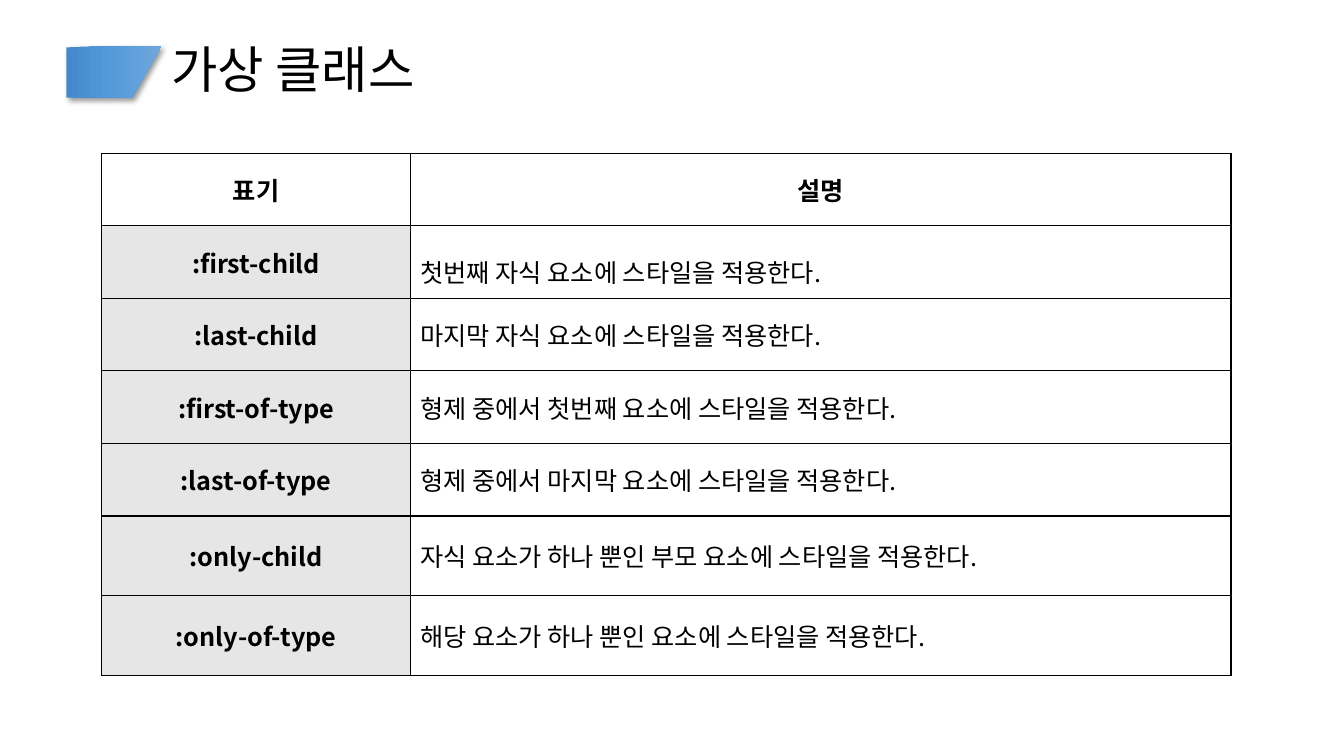
from lxml import etree
from pptx import Presentation
from pptx import util as u
from pptx.dml.color import RGBColor
from pptx.enum import text
from pptx.oxml import ns, parse_xml

FONT = "Noto Sans CJK KR"
COLORS = {
    "ink": "000000", "paper": "FFFFFF", "label": "E7E6E6",
    "deep": "448ACA", "mid": "559BDB", "light": "71A6DB",
}
HEADERS = ("표기", "설명")
SELECTORS = [
    (":first-child", "첫번째 자식 요소에 스타일을 적용한다."),
    (":last-child", "마지막 자식 요소에 스타일을 적용한다."),
    (":first-of-type", "형제 중에서 첫번째 요소에 스타일을 적용한다."),
    (":last-of-type", "형제 중에서 마지막 요소에 스타일을 적용한다."),
    (":only-child", "자식 요소가 하나 뿐인 부모 요소에 스타일을 적용한다."),
    (":only-of-type", "해당 요소가 하나 뿐인 요소에 스타일을 적용한다."),
]
COLUMN_WIDTHS = (3.06, 8.14)
ROW_HEIGHTS = [0.72] * 5 + [0.79] * 2


def color(name):
    return RGBColor.from_string(COLORS[name])


def add_span(para, words, size, bold=False):
    span = para.add_run()
    span.text = words
    span.font.size = u.Pt(size)
    span.font.bold = bold
    span.font.name = FONT
    span.font.color.rgb = color("ink")
    east_asian = etree.SubElement(span.font._element, ns.qn("a:ea"))
    east_asian.set("typeface", FONT)


def add_marker(page, left, top, width, height):
    """Slanted tab with a gradient and a soft shadow."""
    right, bottom = left + width, top + height
    outline = [(right, top), (left + 0.37, top), (left, top + 0.01),
               (left, bottom), (right - 0.29, bottom)]
    points = [(u.Inches(x), u.Inches(y)) for x, y in outline]
    builder = page.shapes.build_freeform(*points[0])
    builder.add_line_segments(points[1:], close=True)
    marker = builder.convert_to_shape()
    marker.line.fill.background()

    # Three-stop gradient, dark to light from left to right
    marker.fill.gradient()
    marker.fill.gradient_angle = 0
    properties = marker._element.spPr
    stops = properties.find(".//" + ns.qn("a:gsLst"))
    for stop in list(stops):
        stops.remove(stop)
    for position, name in ((0, "deep"), (50, "mid"), (100, "light")):
        stop = etree.SubElement(stops, ns.qn("a:gs"), pos=str(position * 1000))
        etree.SubElement(stop, ns.qn("a:srgbClr"), val=COLORS[name])

    # Shadow to the lower right
    marker.shadow.inherit = False
    effects = properties.find(ns.qn("a:effectLst"))
    effects.append(parse_xml(
        f'<a:outerShdw {ns.nsdecls("a")} blurRad="{u.Pt(4)}" dist="{u.Pt(3)}" '
        f'dir="2700000" algn="tl" rotWithShape="0"><a:srgbClr val="{COLORS["ink"]}">'
        '<a:alpha val="40000"/></a:srgbClr></a:outerShdw>'))


def add_title(page, left, top, width, height):
    box = page.shapes.add_textbox(*map(u.Inches, (left, top, width, height)))
    frame = box.text_frame
    frame.word_wrap = True
    frame.vertical_anchor = text.MSO_ANCHOR.MIDDLE
    para = frame.paragraphs[0]
    para.line_spacing = 0.9
    add_span(para, "가상 클래스", 36)


def add_borders(cell):
    properties = cell._tc.get_or_add_tcPr()
    for index, side in enumerate("LRTB"):
        properties.insert(index, parse_xml(
            f'<a:ln{side} {ns.nsdecls("a")} w="{u.Pt(1)}"><a:solidFill>'
            f'<a:srgbClr val="{COLORS["ink"]}"/></a:solidFill></a:ln{side}>'))


def add_selector_table(page, left, top):
    rows = [HEADERS] + SELECTORS
    size = (left, top, sum(COLUMN_WIDTHS), sum(ROW_HEIGHTS))
    table = page.shapes.add_table(
        len(rows), len(HEADERS), *map(u.Inches, size)).table
    for column, width in zip(table.columns, COLUMN_WIDTHS):
        column.width = u.Inches(width)
    for row, height in zip(table.rows, ROW_HEIGHTS):
        row.height = u.Inches(height)

    for r, row in enumerate(rows):
        for c, words in enumerate(row):
            cell = table.cell(r, c)
            is_label = r > 0 and c == 0
            is_heading = r == 0 or c == 0
            cell.fill.solid()
            cell.fill.fore_color.rgb = color("label" if is_label else "paper")
            cell.vertical_anchor = text.MSO_ANCHOR.MIDDLE
            add_borders(cell)
            para = cell.text_frame.paragraphs[0]
            para.alignment = (text.PP_ALIGN.CENTER if is_heading
                              else text.PP_ALIGN.LEFT)
            add_span(para, words, 18, bold=is_heading)
    # The first description is set with looser lines
    table.cell(1, 1).text_frame.paragraphs[0].line_spacing = 1.5


def main():
    deck = Presentation()
    deck.slide_width, deck.slide_height = u.Inches(13.33), u.Inches(7.5)
    page = deck.slides.add_slide(deck.slide_layouts[6])
    add_marker(page, 0.66, 0.46, 0.94, 0.51)
    add_title(page, 1.6, 0.33, 10.45, 0.77)
    add_selector_table(page, 1.01, 1.52)
    deck.save("out.pptx")


if __name__ == "__main__":
    main()
